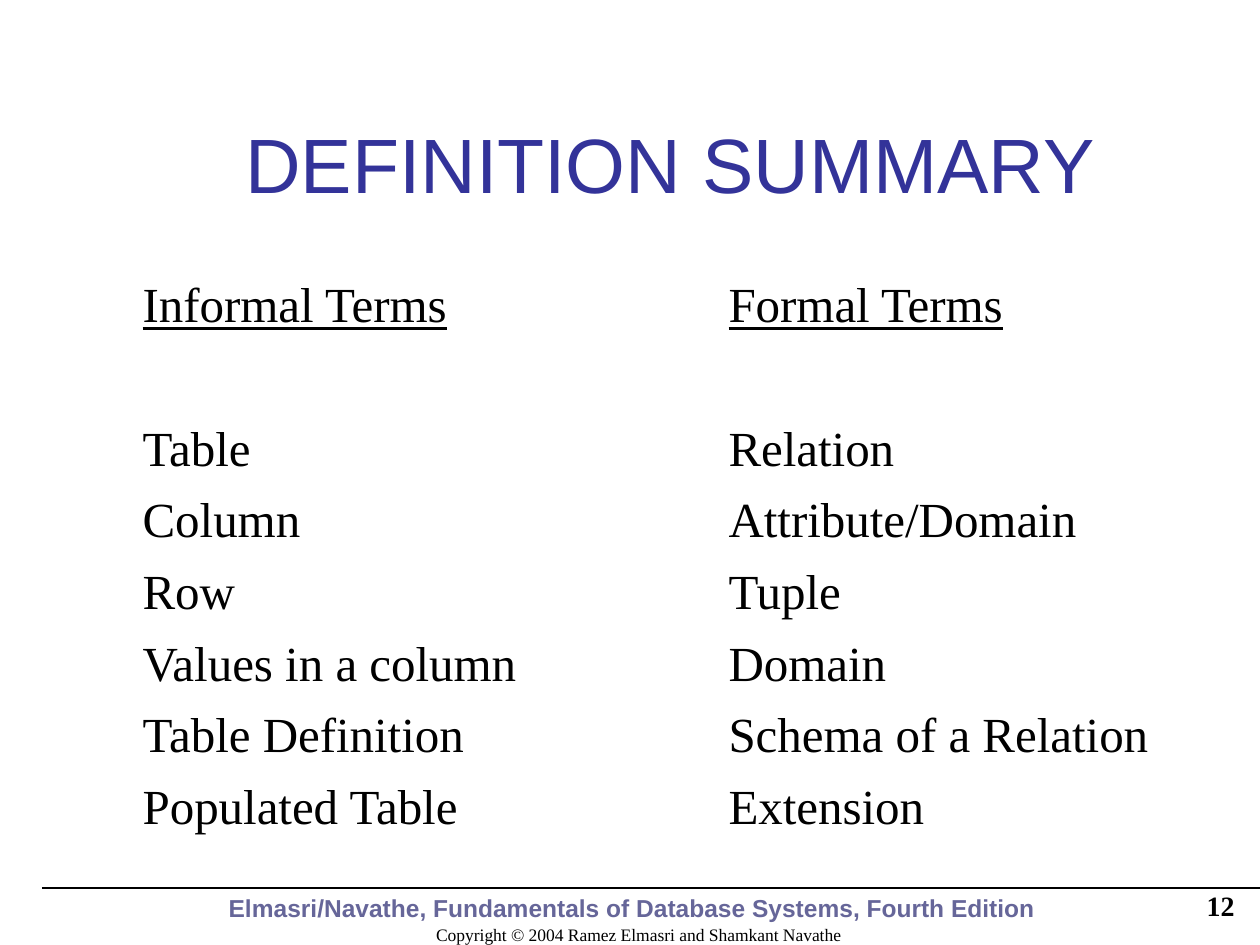
from lxml import etree
from pptx import Presentation
from pptx.dml.color import RGBColor
from pptx.enum.text import MSO_ANCHOR, PP_ALIGN
from pptx.oxml.ns import qn
from pptx.util import Emu, Pt

PX = 914400 // 126
WIDTH, HEIGHT = 1260, 945

LEFT, CENTER, RIGHT = PP_ALIGN.LEFT, PP_ALIGN.CENTER, PP_ALIGN.RIGHT
MIDDLE, BOTTOM = MSO_ANCHOR.MIDDLE, MSO_ANCHOR.BOTTOM

BLACK = RGBColor(0x00, 0x00, 0x00)
WHITE = RGBColor(0xFF, 0xFF, 0xFF)
NAVY = RGBColor(0x33, 0x33, 0x99)
SLATE = RGBColor(0x66, 0x66, 0x99)
SANS, SERIF = "Arial", "Times New Roman"

# Text, box (left, top, width, height), format
LABELS = [
    ("Copyright © 2004 Ramez Elmasri and Shamkant Navathe",
     (359, 888, 559, 63), dict(size=10, align=CENTER, anchor=BOTTOM)),
    ("Elmasri/Navathe, Fundamentals of Database Systems, Fourth Edition ",
     (113, 866, 1045, 63),
     dict(size=14, font=SANS, color=SLATE, bold=True, align=CENTER, anchor=BOTTOM)),
    ("DEFINITION SUMMARY",
     (176, 84, 989, 158),
     dict(size=44, font=SANS, color=NAVY, align=CENTER, anchor=MIDDLE)),
    ("12", (985, 879, 262, 53),
     dict(size=16, bold=True, align=RIGHT, anchor=MIDDLE)),
]

TERMS = [
    ("Informal Terms", "Formal Terms"),
    ("", ""),
    ("Table", "Relation"),
    ("Column", "Attribute/Domain"),
    ("Row", "Tuple"),
    ("Values in a column", "Domain"),
    ("Table Definition", "Schema of a Relation"),
    ("Populated Table", "Extension"),
]
GRID = (130, 273, 1036, 571)
COLS = (442, 144, 450)
RULE = (42, 888, WIDTH, 888)
OUTER, INNER = 1.08, 0.45


def px(*nums):
    return [Emu(n * PX) for n in nums]


def write(frame, text, size=28, font=SERIF, color=BLACK, bold=False,
          under=False, align=LEFT, anchor=None, before=0):
    frame.word_wrap = True
    if anchor is not None:
        frame.vertical_anchor = anchor
    para = frame.paragraphs[0]
    para.alignment = align
    para.space_before = Pt(before)
    run = para.add_run()
    run.text = text
    run.font.size = Pt(size)
    run.font.name = font
    run.font.bold = bold
    run.font.underline = under
    run.font.color.rgb = color


def edge(cell, sides):
    """Draw white cell borders; sides maps a tag to a width in points."""
    props = cell._tc.get_or_add_tcPr()
    for i, (tag, wide) in enumerate(sides.items()):
        line = etree.Element(qn(f"a:{tag}"), w=str(Pt(wide)))
        fill = etree.SubElement(line, qn("a:solidFill"))
        etree.SubElement(fill, qn("a:srgbClr"), val=str(WHITE))
        props.insert(i, line)


def add_terms(slide):
    rows, cols = len(TERMS), len(COLS)
    table = slide.shapes.add_table(rows, cols, *px(*GRID)).table
    table.first_row = table.horz_banding = False
    for col, wide in zip(table.columns, COLS):
        col.width = Emu(wide * PX)
    tops = [round(GRID[3] * r / rows) for r in range(rows + 1)]
    for r, (plain, formal) in enumerate(TERMS):
        table.rows[r].height = Emu((tops[r + 1] - tops[r]) * PX)
        for c, text in enumerate((plain, "", formal)):
            cell = table.cell(r, c)
            cell.fill.background()
            edge(cell, {
                "lnL": OUTER if c == 0 else INNER,
                "lnR": OUTER if c == cols - 1 else INNER,
                "lnT": OUTER if r == 0 else INNER,
                "lnB": OUTER if r == rows - 1 else INNER,
            })
            if text:
                write(cell.text_frame, text, under=r == 0, before=7)


def add_rule(slide):
    rule = slide.shapes.add_connector(1, *px(*RULE))
    rule.line.color.rgb = BLACK
    rule.line.width = Pt(0.75)
    etree.SubElement(rule._element.spPr, qn("a:effectLst"))


def main():
    deck = Presentation()
    deck.slide_width, deck.slide_height = px(WIDTH, HEIGHT)
    slide = deck.slides.add_slide(deck.slide_layouts[6])
    add_rule(slide)
    for text, box, form in LABELS:
        write(slide.shapes.add_textbox(*px(*box)).text_frame, text, **form)
    add_terms(slide)
    deck.save("out.pptx")


if __name__ == "__main__":
    main()
